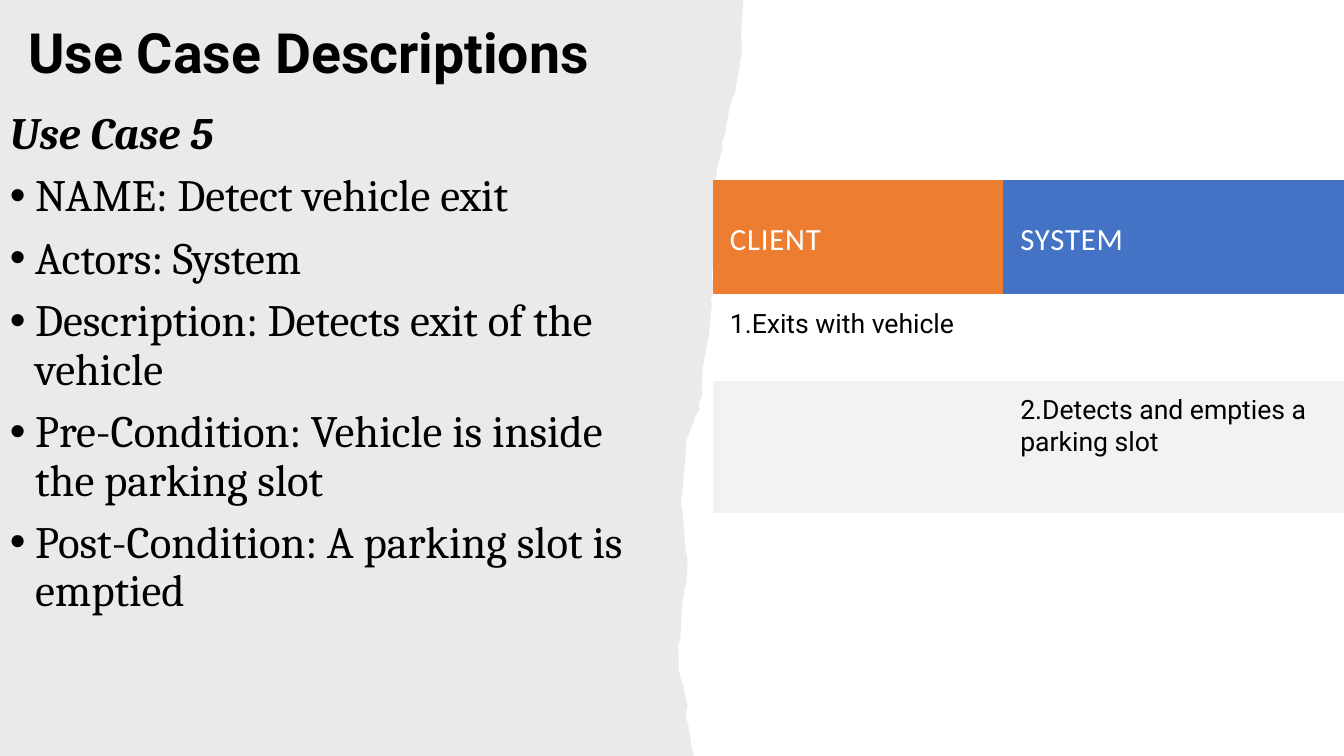
import pptx
import pptx.util
import pptx.dml.color
import pptx.enum.text
from pptx.util import Inches
from lxml import etree

NS = "{http://schemas.openxmlformats.org/drawingml/2006/main}"


def color(text):
    return pptx.dml.color.RGBColor.from_string(text)


def add_run(para, text, size, face, tint="000000"):
    run = para.add_run()
    run.text = text
    run.font.size = pptx.util.Pt(size)
    run.font.name = face
    run.font.color.rgb = color(tint)
    return run


deck = pptx.Presentation()
deck.slide_width, deck.slide_height = Inches(13.33), Inches(7.5)
slide = deck.slides.add_slide(deck.slide_layouts[6])

# Torn paper panel, in hundredths of an inch
edge = [
    (737, 0), (737, 3), (735, 34), (736, 49), (733, 70), (732, 74), (729, 92),
    (724, 105), (721, 122), (720, 127), (719, 133), (716, 142), (717, 147),
    (714, 156), (711, 168), (710, 186), (711, 198), (710, 236), (708, 241),
    (708, 254), (706, 275), (708, 285), (706, 290), (707, 292), (705, 297),
    (706, 302), (703, 334), (697, 365), (696, 386), (697, 391), (693, 401),
    (694, 407), (691, 410), (684, 429), (681, 436), (680, 453), (678, 473),
    (677, 489), (675, 497), (677, 507), (678, 521), (680, 544), (682, 556),
    (681, 576), (678, 590), (676, 606), (675, 633), (672, 642), (673, 646),
    (673, 664), (675, 673), (678, 680), (679, 688), (682, 700), (680, 709),
    (683, 721), (686, 740), (688, 750),
]
pen = slide.shapes.build_freeform(0, 0, scale=Inches(0.01))
pen.add_line_segments(edge + [(0, 750)], close=True)
paper = pen.convert_to_shape()
paper.shadow.inherit = False
paper.line.fill.background()
paper.fill.solid()
paper.fill.fore_color.rgb = color("82766A")
shade = paper.fill._xPr.find(f".//{NS}srgbClr")
etree.SubElement(shade, NS + "alpha", val="15000")

# Title
title = slide.shapes.add_textbox(Inches(0.18), 0, Inches(6.36), Inches(1.11))
frame = title.text_frame
frame.word_wrap = True
frame.vertical_anchor = pptx.enum.text.MSO_ANCHOR.MIDDLE
para = frame.paragraphs[0]
para.line_spacing = 0.9
add_run(para, "Use Case Descriptions", 39.6, "Roboto").font.bold = True

# Use case details
body = slide.shapes.add_textbox(0, Inches(1.05), Inches(6.71), Inches(6.02))
frame = body.text_frame
frame.word_wrap = True
para = frame.paragraphs[0]
para.line_spacing = 0.9
run = add_run(para, "Use Case 5", 32, "Cambria")
run.font.bold = run.font.italic = True

for item in [
    "NAME: Detect vehicle exit",
    "Actors: System",
    "Description: Detects exit of the vehicle",
    "Pre-Condition: Vehicle is inside the parking slot",
    "Post-Condition: A parking slot is emptied",
]:
    para = frame.add_paragraph()
    para.line_spacing = 0.9
    para.space_before = pptx.util.Pt(10)
    props = para._p.get_or_add_pPr()
    props.set("marL", str(Inches(0.25)))
    props.set("indent", str(-Inches(0.25)))
    etree.SubElement(props, NS + "buFont", typeface="Arial")
    etree.SubElement(props, NS + "buChar", char="•")
    add_run(para, item, 32, "Cambria")

# Client and system table
rows = [
    ["CLIENT", "SYSTEM"],
    ["1.Exits with vehicle", ""],
    ["", "2.Detects and empties a parking slot"],
]
fills = [["ED7D31", "4472C4"], [None, None], ["F2F2F2", "F2F2F2"]]
table = slide.shapes.add_table(
    3, 2, Inches(7.07), Inches(1.79), Inches(6.27), Inches(3.3)).table
table.first_row = table.horz_banding = False
style = table._tbl.tblPr.find(NS + "tableStyleId")
style.text = "{2D5ABB26-0587-4C30-8999-92F81FD0307C}"  # no style, no grid
for col, width in zip(table.columns, [2.88, 3.39]):
    col.width = Inches(width)

for r, height in enumerate([1.13, 0.86, 1.31]):
    table.rows[r].height = Inches(height)
    for c, text in enumerate(rows[r]):
        cell = table.cell(r, c)
        cell.margin_left = cell.margin_right = Inches(0.17)
        cell.margin_top, cell.margin_bottom = Inches(0.14), Inches(0.08)
        if fills[r][c]:
            cell.fill.solid()
            cell.fill.fore_color.rgb = color(fills[r][c])
        else:
            cell.fill.background()
        para = cell.text_frame.paragraphs[0]
        if r == 0:
            cell.vertical_anchor = pptx.enum.text.MSO_ANCHOR.MIDDLE
            run = add_run(para, text, 22, "Calibri", "FFFFFF")
            run.font._element.set("spc", "60")
        elif text:
            add_run(para, text, 19, "Roboto")

deck.save("out.pptx")
